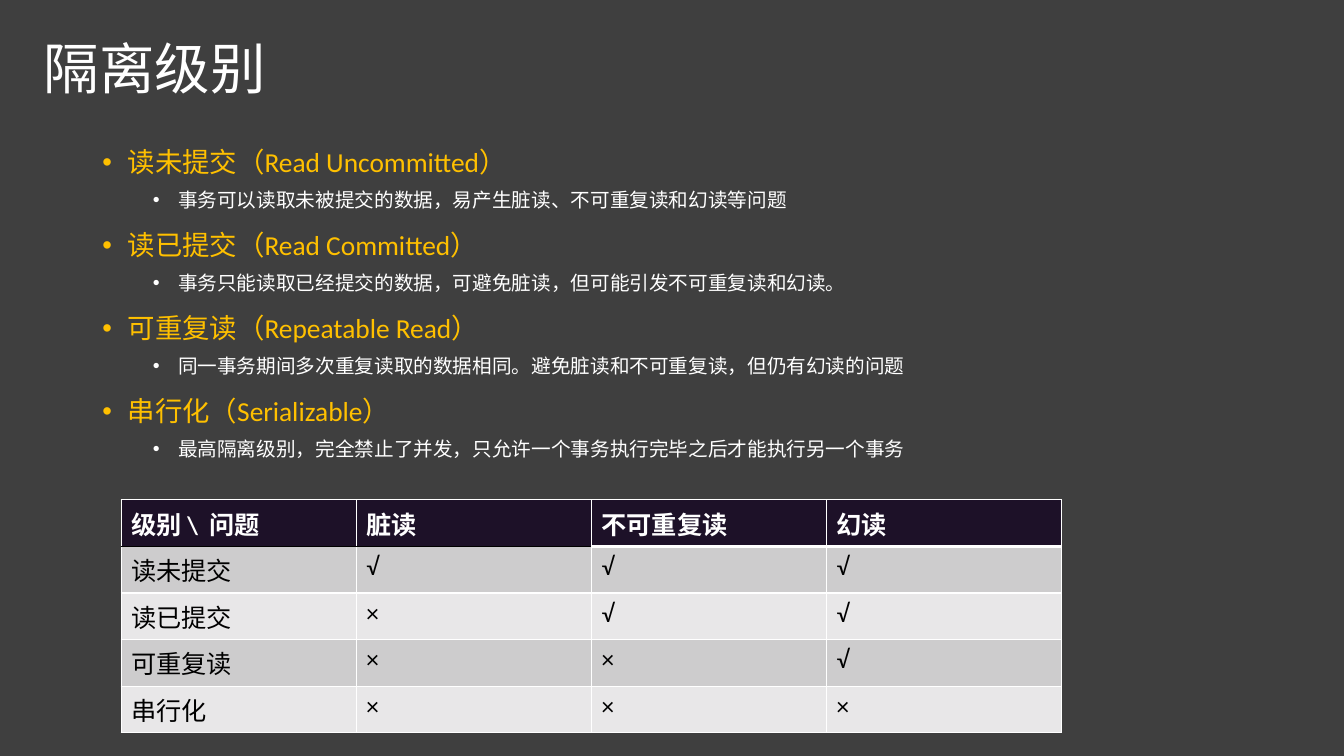
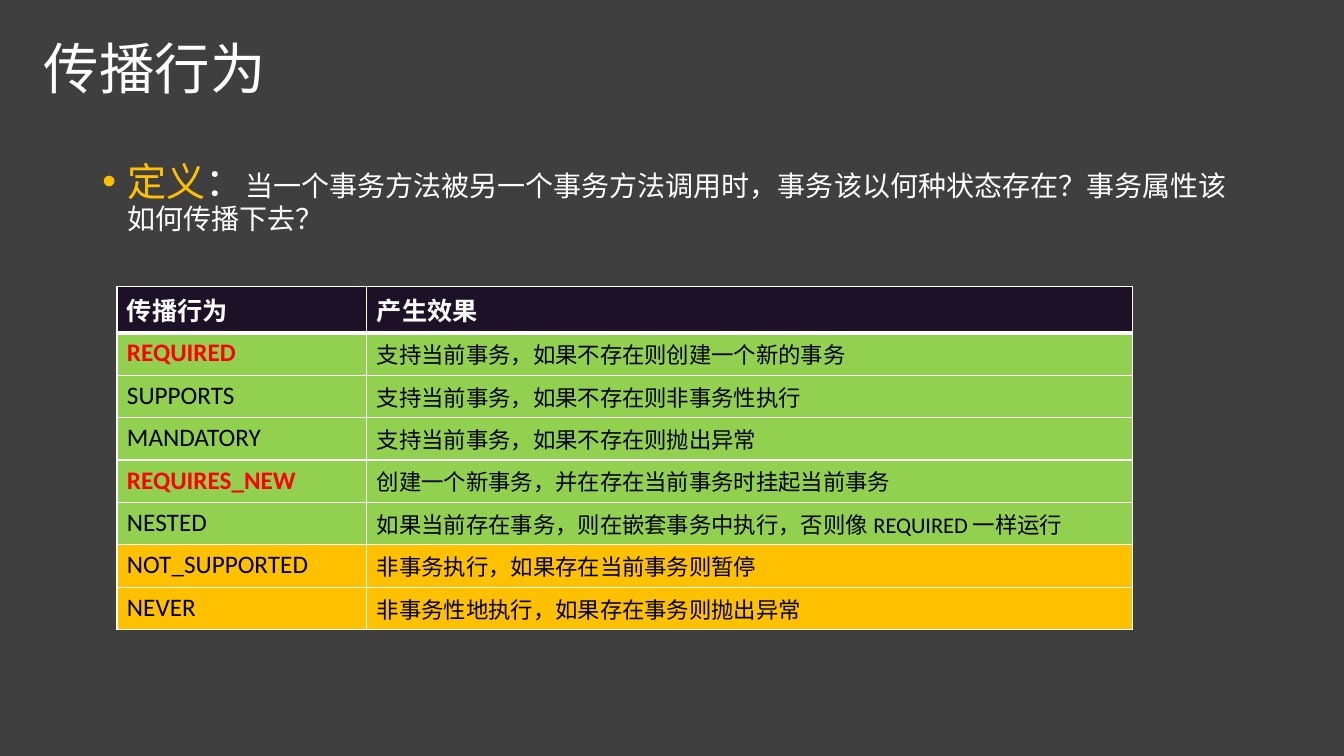
from lxml import etree
from pptx import Presentation
from pptx.dml.color import RGBColor
from pptx.enum.text import MSO_ANCHOR, MSO_AUTO_SIZE, PP_ALIGN
from pptx.oxml.ns import qn
from pptx.util import Pt

LEFT = PP_ALIGN.LEFT
TOP = MSO_ANCHOR.TOP
MIDDLE = MSO_ANCHOR.MIDDLE
NO_AUTOFIT = MSO_AUTO_SIZE.NONE

BACKGROUND = RGBColor(0x3F, 0x3F, 0x3F)
WHITE = RGBColor(0xFF, 0xFF, 0xFF)
BLACK = RGBColor(0x00, 0x00, 0x00)
RED = RGBColor(0xFF, 0x00, 0x00)
AMBER = RGBColor(0xFF, 0xC0, 0x00)
GREEN = RGBColor(0x92, 0xD0, 0x50)
HEADER = RGBColor(0x1D, 0x11, 0x28)
DARK_BAND = RGBColor(0xCD, 0xCC, 0xCD)
LIGHT_BAND = RGBColor(0xE8, 0xE7, 0xE8)
FONT = "Calibri"


def format_paragraph(paragraph, spans, line_spacing=None, space_before=None, bullet_indent=None):
    paragraph.alignment = LEFT
    if line_spacing:
        paragraph.line_spacing = line_spacing
    if space_before is not None:
        paragraph.space_before = Pt(space_before)
    for text, size, color, bold in spans:
        run = paragraph.add_run()
        run.text = text
        run.font.name = FONT
        run.font.size = Pt(size)
        run.font.bold = bold
        run.font.color.rgb = color
    if bullet_indent:
        properties = paragraph._p.get_or_add_pPr()
        properties.set("marL", str(Pt(bullet_indent)))
        properties.set("indent", str(-Pt(18)))
        etree.SubElement(properties, qn("a:buFont"), typeface="Arial")
        etree.SubElement(properties, qn("a:buChar"), char="•")


def add_grid(slide, left, top, widths, row_height, rows, fills, sizes, red_labels=(), black_columns=()):
    frame = slide.shapes.add_table(
        len(rows), len(widths), Pt(left), Pt(top), Pt(sum(widths)), Pt(row_height * len(rows)))
    table = frame.table
    for column, width in zip(table.columns, widths):
        column.width = Pt(width)
    for row_index, row in enumerate(rows):
        table.rows[row_index].height = Pt(row_height)
        is_header = row_index == 0
        for column_index, text in enumerate(row):
            cell = table.cell(row_index, column_index)
            is_red = text in red_labels
            color = WHITE if is_header else RED if is_red else BLACK
            size = 18 if is_header else sizes[column_index]
            format_paragraph(cell.text_frame.paragraphs[0], [(text, size, color, is_header or is_red)])

            header_rule = (BLACK, 1) if column_index in black_columns else (WHITE, 3)
            edges = {"a:lnL": (WHITE, 1), "a:lnR": (WHITE, 1), "a:lnT": (WHITE, 1), "a:lnB": (WHITE, 1)}
            if is_header:
                edges["a:lnB"] = header_rule
            elif row_index == 1:
                edges["a:lnT"] = header_rule
            properties = cell._tc.get_or_add_tcPr()
            for tag, (edge_color, edge_width) in edges.items():
                line = etree.SubElement(properties, qn(tag), w=str(Pt(edge_width)))
                solid = etree.SubElement(line, qn("a:solidFill"))
                etree.SubElement(solid, qn("a:srgbClr"), val=str(edge_color))
            cell.fill.solid()
            cell.fill.fore_color.rgb = fills[row_index]


presentation = Presentation()
presentation.slide_width = Pt(960)
presentation.slide_height = Pt(540)
background = presentation.slide_master.background.fill
background.solid()
background.fore_color.rgb = BACKGROUND
layout = presentation.slide_layouts[1]

slides = []
for title_text, body_top, body_width, body_height in [
    ("隔离级别", 98, 819.5, 239),
    ("传播行为", 112.5, 828, 75),
]:
    slide = presentation.slides.add_slide(layout)
    title = slide.shapes.title
    body = slide.placeholders[1]
    for shape, left, top, width, height, anchor in [
        (title, 24, 25, 576, 52.5, MIDDLE),
        (body, 66, body_top, body_width, body_height, TOP),
    ]:
        shape.left, shape.top, shape.width, shape.height = Pt(left), Pt(top), Pt(width), Pt(height)
        shape.text_frame.auto_size = NO_AUTOFIT
        shape.text_frame.vertical_anchor = anchor
    format_paragraph(title.text_frame.paragraphs[0], [(title_text, 39.6, WHITE, False)], 0.9, 0)
    slides.append(slide)

isolation_slide, propagation_slide = slides

isolation_levels = [
    ("读未提交（Read Uncommitted）", "事务可以读取未被提交的数据，易产生脏读、不可重复读和幻读等问题"),
    ("读已提交（Read Committed）", "事务只能读取已经提交的数据，可避免脏读，但可能引发不可重复读和幻读。"),
    ("可重复读（Repeatable Read）", "同一事务期间多次重复读取的数据相同。避免脏读和不可重复读，但仍有幻读的问题"),
    ("串行化（Serializable）", "最高隔离级别，完全禁止了并发，只允许一个事务执行完毕之后才能执行另一个事务"),
]
text_frame = isolation_slide.placeholders[1].text_frame
paragraph = text_frame.paragraphs[0]
for index, (level_name, description) in enumerate(isolation_levels):
    if index:
        paragraph = text_frame.add_paragraph()
    format_paragraph(paragraph, [(level_name, 19.6, AMBER, False)], 1.1, 10, 18)
    detail = text_frame.add_paragraph()
    detail.level = 1
    format_paragraph(detail, [(description, 14, WHITE, False)], 1.1, 5, 54)

add_grid(
    isolation_slide, 86.5, 357, [168] * 4, 30,
    [
        ("级别 \\  问题", "脏读", "不可重复读", "幻读"),
        ("读未提交", "√", "√", "√"),
        ("读已提交", "×", "√", "√"),
        ("可重复读", "×", "×", "√"),
        ("串行化", "×", "×", "×"),
    ],
    [HEADER] + [DARK_BAND, LIGHT_BAND] * 2, [18] * 4, black_columns=(0, 1))

definition = [
    ("定义", 28, AMBER, False),
    ("：", 28, WHITE, False),
    ("当一个事务方法被另一个事务方法调用时，事务该以何种状态存在？事务属性该如何传播下去？", 20, WHITE, False),
]
format_paragraph(propagation_slide.placeholders[1].text_frame.paragraphs[0], definition, 0.9, 10, 18)

add_grid(
    propagation_slide, 83.5, 204.5, [178.5, 547], 28.8,
    [
        ("传播行为", "产生效果"),
        ("REQUIRED", "支持当前事务，如果不存在则创建一个新的事务"),
        ("SUPPORTS", "支持当前事务，如果不存在则非事务性执行"),
        ("MANDATORY", "支持当前事务，如果不存在则抛出异常"),
        ("REQUIRES_NEW", "创建一个新事务，并在存在当前事务时挂起当前事务"),
        ("NESTED", "如果当前存在事务，则在嵌套事务中执行，否则像 REQUIRED 一样运行"),
        ("NOT_SUPPORTED", "非事务执行，如果存在当前事务则暂停"),
        ("NEVER", "非事务性地执行，如果存在事务则抛出异常"),
    ],
    [HEADER] + [GREEN] * 5 + [AMBER] * 2, [18, 16], red_labels=("REQUIRED", "REQUIRES_NEW"))

presentation.save("out.pptx")
